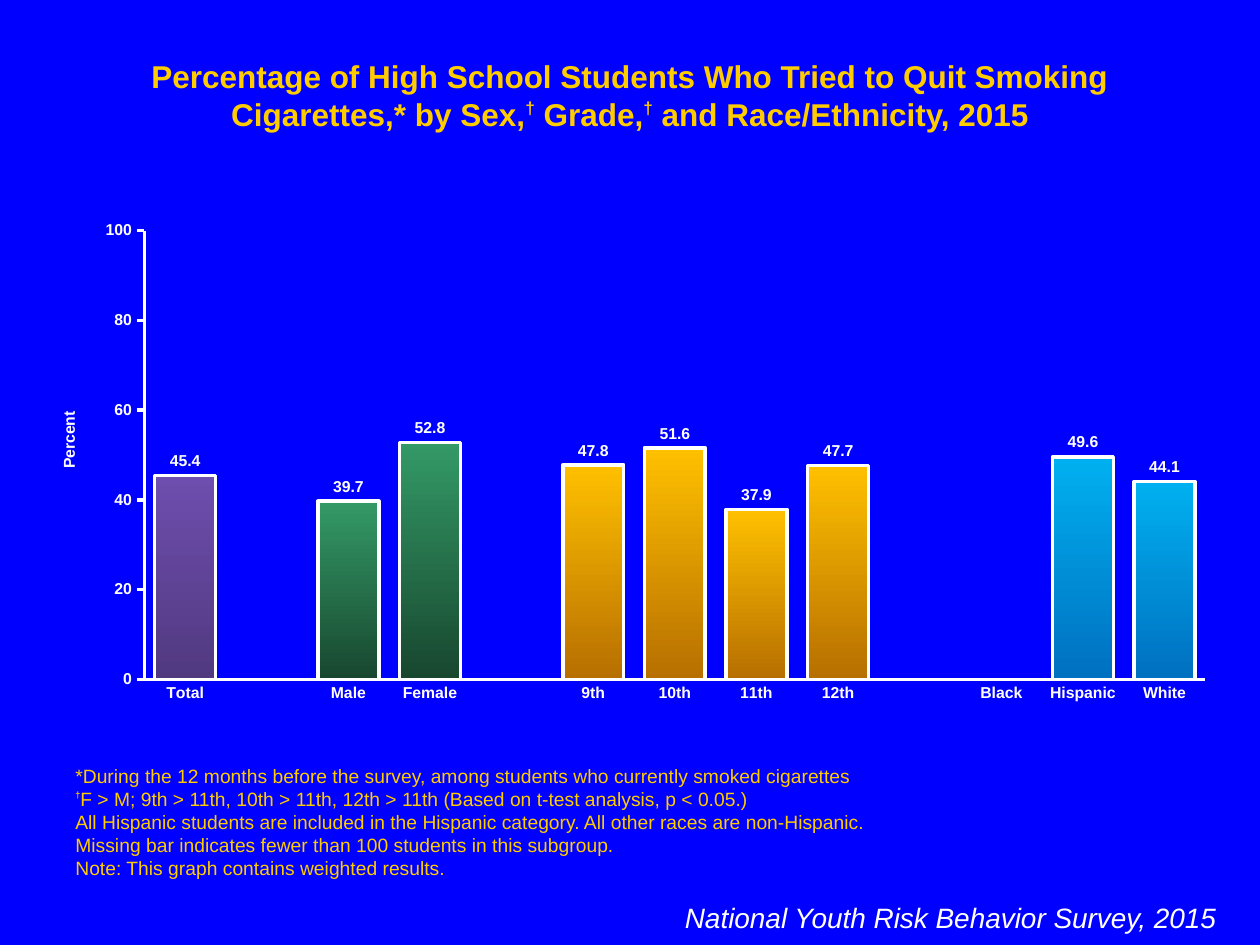
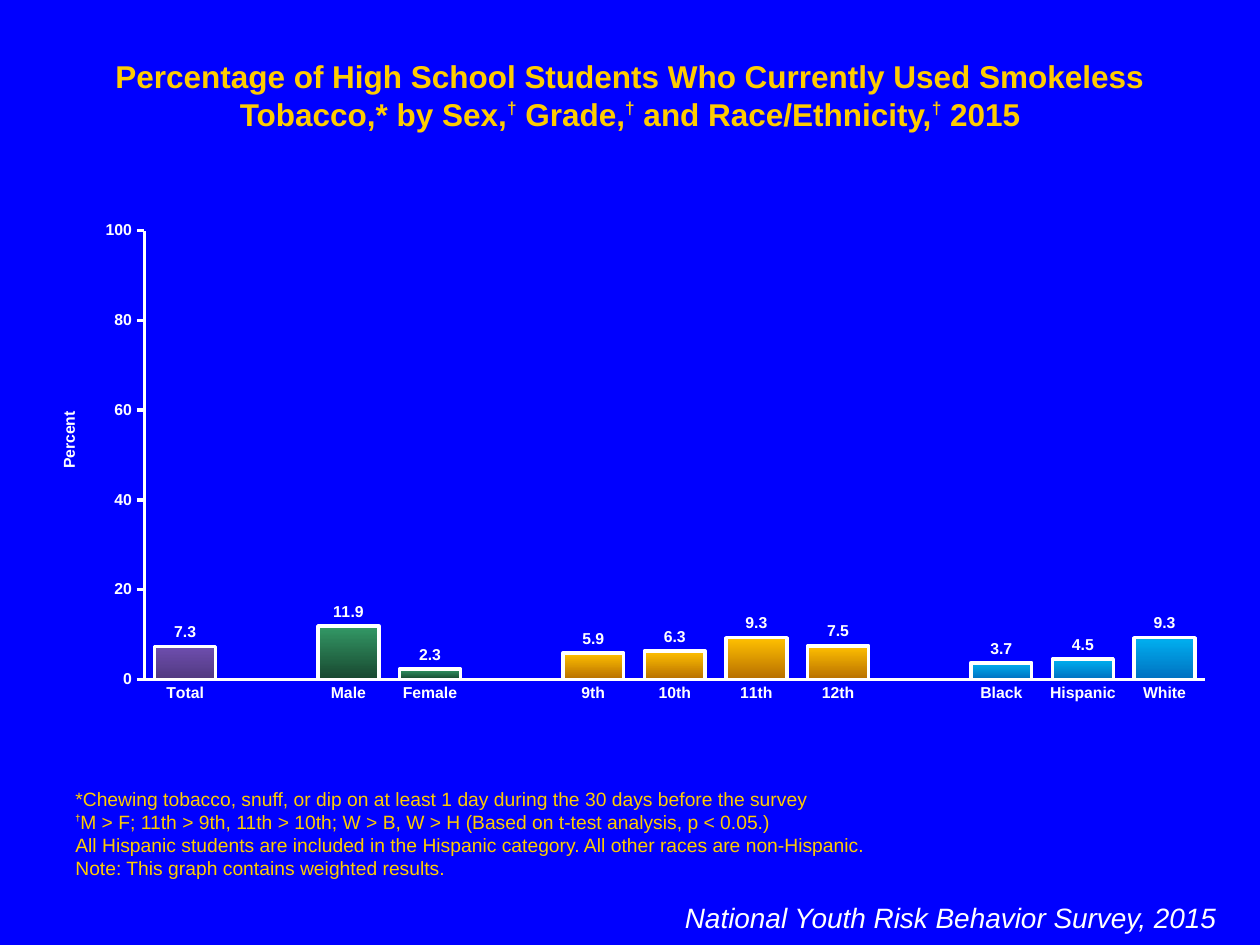
from dataclasses import dataclass

from lxml import etree
from pptx import Presentation
from pptx.chart.data import CategoryChartData
from pptx.dml.color import RGBColor as Rgb
from pptx.enum.chart import XL_CHART_TYPE as ChartType
from pptx.enum.chart import XL_LABEL_POSITION as LabelPosition
from pptx.enum.chart import XL_TICK_MARK as TickMark
from pptx.enum.text import MSO_ANCHOR as Anchor
from pptx.enum.text import PP_ALIGN as Align
from pptx.oxml.ns import qn
from pptx.util import Cm, Pt


@dataclass(frozen=True)
class Theme:
    """Colours, font and type sizes shared by the slides."""

    font: str = "Arial"
    background: Rgb = Rgb.from_string("0000FF")
    gold: Rgb = Rgb.from_string("FFCC00")
    white: Rgb = Rgb.from_string("FFFFFF")
    title_size: int = 18
    title_dagger_size: int = 17
    footnote_size: int = 11
    footnote_dagger_size: int = 9
    source_size: int = 16
    chart_size: int = 18
    label_size: int = 9
    line_width: float = 2


@dataclass(frozen=True)
class Group:
    """Bars that share one gradient, with an optional shade for its end."""

    names: tuple
    top: str
    bottom: str
    shade: int = 100


@dataclass(frozen=True)
class Survey:
    """What differs from one survey slide to the next."""

    title: str
    values: tuple
    footnotes: tuple


THEME = Theme()
TITLE_BOX = (1.27, 1.02, 22.86, 1.02)
CHART_BOX = (0.64, 4.29, 24.13, 10.11)
PLOT_BOX = (2.27, 0.36, 21.39, 9.05)
FOOTNOTE_BOX = (1.27, 15.24, 22.86, 2.62)
SOURCE_BOX = (10.8, 18.03, 13.97, 1)
DAGGER = "†"
SOURCE = "National Youth Risk Behavior Survey, 2015"
HISPANIC_NOTE = ("All Hispanic students are included in the Hispanic category. "
                 "All other races are non-Hispanic.")
WEIGHT_NOTE = "Note: This graph contains weighted results."
GROUPS = (
    Group(("Total",), "6E4EAE", "6E4EAE", 50),
    Group(("Male", "Female"), "339966", "18472F"),
    Group(("9th", "10th", "11th", "12th"), "FFC000", "FF9B00", 47),
    Group(("Black", "Hispanic", "White"), "00B0F0", "0070C0"),
)
SURVEYS = (
    Survey(
        "Percentage of High School Students Who Tried to Quit Smoking "
        "Cigarettes,* by Sex,† Grade,† and Race/Ethnicity, 2015",
        ((45.4,), (39.7, 52.8), (47.8, 51.6, 37.9, 47.7), (None, 49.6, 44.1)),
        ("*During the 12 months before the survey, among students who currently smoked cigarettes",
         "†F > M; 9th > 11th, 10th > 11th, 12th > 11th (Based on t-test analysis, p < 0.05.)",
         HISPANIC_NOTE,
         "Missing bar indicates fewer than 100 students in this subgroup.",
         WEIGHT_NOTE),
    ),
    Survey(
        "Percentage of High School Students Who Currently Used Smokeless "
        "Tobacco,* by Sex,† Grade,† and Race/Ethnicity,† 2015",
        ((7.3,), (11.9, 2.3), (5.9, 6.3, 9.3, 7.5), (3.7, 4.5, 9.3)),
        ("*Chewing tobacco, snuff, or dip on at least 1 day during the 30 days before the survey",
         "†M > F; 11th > 9th, 11th > 10th; W > B, W > H (Based on t-test analysis, p < 0.05.)",
         HISPANIC_NOTE,
         WEIGHT_NOTE),
    ),
)


def spaced(groups, gap):
    """Flatten the groups into one list with a gap between neighbours."""
    items = []
    for group in groups:
        items += [gap, *group] if items else group
    return items


def style_font(font, size, color, bold=False, italic=False):
    """Apply the theme font with the given look."""
    font.name = THEME.font
    font.size = Pt(size)
    font.color.rgb = color
    font.bold = bold
    font.italic = italic


def add_text_box(slide, box, anchor=Anchor.TOP):
    """Add a wrapping text box and return its text frame."""
    text_frame = slide.shapes.add_textbox(*map(Cm, box)).text_frame
    text_frame.word_wrap = True
    text_frame.vertical_anchor = anchor
    return text_frame


def write_with_daggers(paragraph, text, size, dagger_size, raised, bold=False):
    """Write gold text whose daggers are bold superscripts."""
    for index, part in enumerate(text.split(DAGGER)):
        if index:
            run = paragraph.add_run()
            run.text = DAGGER
            style_font(run.font, dagger_size, THEME.gold, bold=True)
            run._r.get_or_add_rPr().set("baseline", str(raised * 1000))
        if part:
            run = paragraph.add_run()
            run.text = part
            style_font(run.font, size, THEME.gold, bold)


def add_title(slide, box, title):
    """Add the centred slide title."""
    paragraph = add_text_box(slide, box).paragraphs[0]
    paragraph.alignment = Align.CENTER
    write_with_daggers(paragraph, title, THEME.title_size,
                       THEME.title_dagger_size, 40, bold=True)


def add_footnotes(slide, box, footnotes):
    """Add the footnotes, resting on the bottom of the box."""
    text_frame = add_text_box(slide, box, Anchor.BOTTOM)
    for index, footnote in enumerate(footnotes):
        paragraph = text_frame.add_paragraph() if index else text_frame.paragraphs[0]
        write_with_daggers(paragraph, footnote, THEME.footnote_size,
                           THEME.footnote_dagger_size, 50)


def add_source(slide, box):
    """Add the survey name at the lower right."""
    paragraph = add_text_box(slide, box).paragraphs[0]
    paragraph.text = SOURCE
    paragraph.alignment = Align.RIGHT
    style_font(paragraph.runs[0].font, THEME.source_size, THEME.white, italic=True)


def set_layout(parent, index, **settings):
    """Give a chart part a manual layout in fractions of the chart."""
    for old in parent.findall(qn("c:layout")):
        parent.remove(old)
    layout = etree.Element(qn("c:layout"))
    manual = etree.SubElement(layout, qn("c:manualLayout"))
    for name, value in settings.items():
        etree.SubElement(manual, qn(f"c:{name}")).set("val", str(value))
    parent.insert(index, layout)


def style_axes(chart):
    """Style both axes and name the value axis."""
    for axis in (chart.category_axis, chart.value_axis):
        axis.has_major_gridlines = False
        axis.major_tick_mark = axis.minor_tick_mark = TickMark.NONE
        axis.format.line.color.rgb = THEME.white
        axis.format.line.width = Pt(THEME.line_width)
        style_font(axis.tick_labels.font, THEME.label_size, THEME.white, bold=True)
    axis = chart.value_axis
    axis.major_tick_mark = TickMark.OUTSIDE
    axis.minimum_scale, axis.maximum_scale, axis.major_unit = 0, 100, 20
    text_frame = axis.axis_title.text_frame
    text_frame.text = "Percent"
    style_font(text_frame.paragraphs[0].runs[0].font, THEME.label_size,
               THEME.white, bold=True)
    text_frame._txBody.bodyPr.set("rot", "-5400000")
    text_frame._txBody.bodyPr.set("vert", "horz")
    set_layout(axis.axis_title._element, 1, xMode="edge", yMode="edge", x=0.02, y=0.39)


def style_bar(bar, group):
    """Fill a bar from top to bottom and outline it."""
    bar.format.line.color.rgb = THEME.white
    bar.format.line.width = Pt(THEME.line_width)
    fill = bar.format.fill
    fill.gradient()
    fill.gradient_angle = 270
    first, last = fill.gradient_stops
    first.color.rgb = Rgb.from_string(group.top)
    last.color.rgb = Rgb.from_string(group.bottom)
    if group.shade < 100:
        etree.SubElement(last._gs[0], qn("a:shade")).set("val", str(group.shade * 1000))


def add_bar_chart(slide, box, values):
    """Add the grouped bar chart of percentages."""
    data = CategoryChartData()
    data.categories = spaced([group.names for group in GROUPS], "")
    data.add_series("Series 1", spaced(values, None))
    chart = slide.shapes.add_chart(
        ChartType.COLUMN_CLUSTERED, *map(Cm, box), data).chart
    chart.has_legend = chart.has_title = False
    style_font(chart.font, THEME.chart_size, THEME.white)
    style_axes(chart)
    left, top, width, height = PLOT_BOX
    set_layout(chart._chartSpace.chart.plotArea, 0, layoutTarget="inner",
               xMode="edge", yMode="edge", x=left / box[2], y=top / box[3],
               w=width / box[2], h=height / box[3])

    plot = chart.plots[0]
    plot.gap_width, plot.overlap = 34, 100
    plot.vary_by_categories = False
    series = plot.series[0]
    bar_groups = spaced([[group] * len(group.names) for group in GROUPS], None)
    for index, group in enumerate(bar_groups):
        if group:
            style_bar(series.points[index], group)
    labels = series.data_labels
    labels.show_value = True
    labels.position = LabelPosition.OUTSIDE_END
    labels.number_format = "#,##0.0"
    labels.number_format_is_linked = False
    style_font(labels.font, THEME.label_size, THEME.white, bold=True)


def add_survey_slide(presentation, survey):
    """Add one slide with title, chart, footnotes and source."""
    slide = presentation.slides.add_slide(presentation.slide_layouts[6])
    slide.background.fill.solid()
    slide.background.fill.fore_color.rgb = THEME.background
    add_title(slide, TITLE_BOX, survey.title)
    add_footnotes(slide, FOOTNOTE_BOX, survey.footnotes)
    add_source(slide, SOURCE_BOX)
    add_bar_chart(slide, CHART_BOX, survey.values)


def main():
    """Build and save the presentation."""
    presentation = Presentation()
    presentation.slide_width, presentation.slide_height = Cm(25.4), Cm(19.05)
    for survey in SURVEYS:
        add_survey_slide(presentation, survey)
    presentation.save("out.pptx")


if __name__ == "__main__":
    main()
